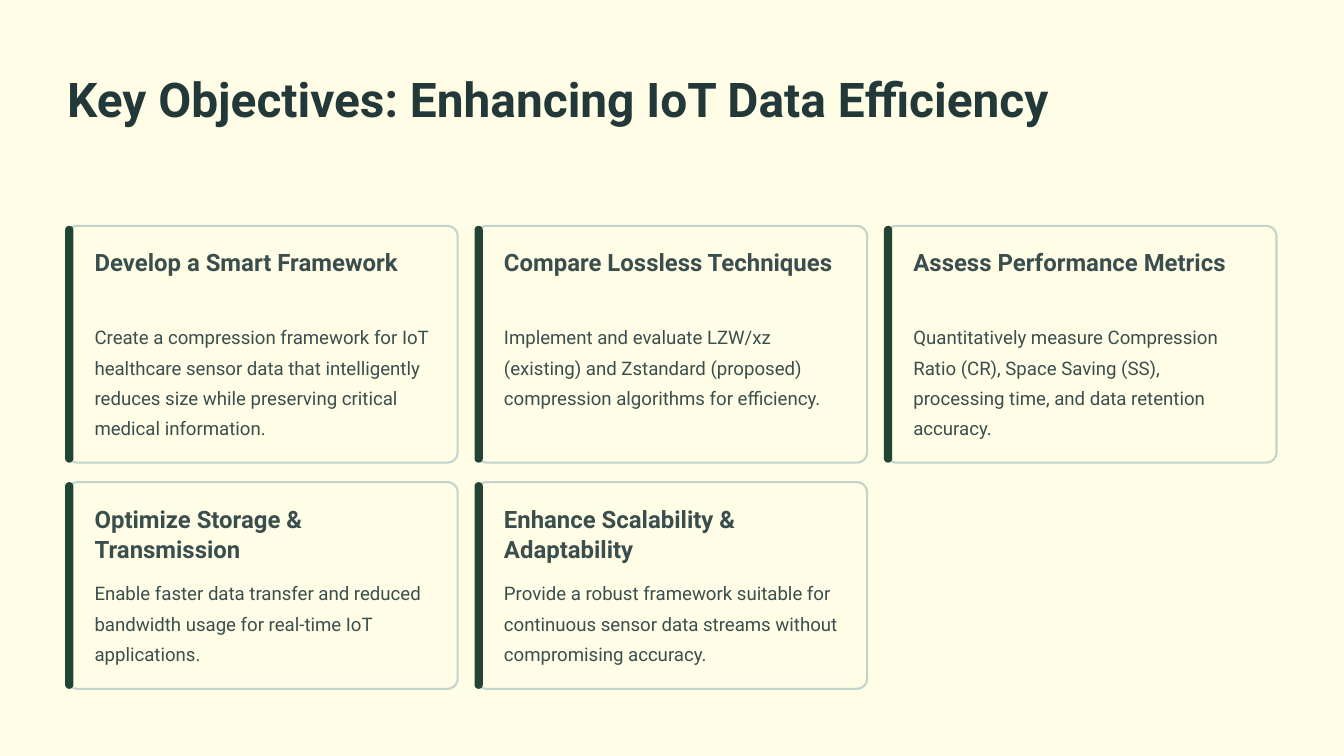
from dataclasses import dataclass

from pptx import Presentation
from pptx.dml.color import RGBColor as Rgb
from pptx.enum.shapes import MSO_SHAPE as Shape
from pptx.enum.text import MSO_ANCHOR as Anchor, MSO_AUTO_SIZE as Fit, PP_ALIGN as Align
from pptx.util import Cm, Pt


@dataclass(frozen=True)
class Theme:
    font: str = "Roboto"
    paper: str = "FFFDE6"
    edge: str = "C3D4CC"
    accent: str = "224435"
    title: str = "233939"
    ink: str = "3B4E4E"
    # Type size and line pitch, in points
    big: tuple = (41, 51)
    head: tuple = (20.5, 25.5)
    body: tuple = (16, 26)


class Deck:
    def __init__(self, theme):
        self.theme = theme
        self.prs = Presentation()
        self.prs.slide_width, self.prs.slide_height = Cm(40.64), Cm(22.86)
        self.slide = self.prs.slides.add_slide(self.prs.slide_layouts[5])
        back = self.slide.background.fill
        back.solid()
        back.fore_color.rgb = Rgb.from_string(theme.paper)

    def label(self, shape, text, size, color, bold=False):
        frame = shape.text_frame
        frame.word_wrap = True
        frame.auto_size = Fit.NONE
        frame.vertical_anchor = Anchor.TOP
        frame.margin_left = frame.margin_right = 0
        frame.margin_top = frame.margin_bottom = 0
        para = frame.paragraphs[0]
        para.alignment = Align.LEFT
        para.space_before = Pt(0)
        para.line_spacing = Pt(size[1])
        run = para.add_run()
        run.text = text
        font = run.font
        font.name, font.size, font.bold = self.theme.font, Pt(size[0]), bold
        font.color.rgb = Rgb.from_string(color)

    def title(self, text, x, y, w, h):
        shape = self.slide.shapes.title
        shape.left, shape.top, shape.width, shape.height = map(Cm, (x, y, w, h))
        self.label(shape, text, self.theme.big, self.theme.title, True)

    def text(self, text, x, y, w, h, size, bold=False):
        box = self.slide.shapes.add_textbox(*map(Cm, (x, y, w, h)))
        self.label(box, text, size, self.theme.ink, bold)

    def panel(self, x, y, w, h, bend, fill, edge=None):
        shape = self.slide.shapes.add_shape(Shape.ROUNDED_RECTANGLE, *map(Cm, (x, y, w, h)))
        shape.shadow.inherit = False
        shape.adjustments[0] = bend / min(w, h)
        shape.fill.solid()
        shape.fill.fore_color.rgb = Rgb.from_string(fill)
        if edge:
            shape.line.color.rgb = Rgb.from_string(edge)
            shape.line.width = Pt(1.8)
        else:
            shape.line.fill.background()

    def card(self, x, y, w, h, head, body):
        look = self.theme
        self.panel(x, y, w, h, 0.31, look.paper, look.edge)
        self.panel(x - 0.06, y, 0.25, h, 0.12, look.accent)
        left, wide = x + 0.83, w - 1.47
        self.text(head, left, y + 0.64, wide, 1.8, look.head, True)
        self.text(body, left, y + 2.79, wide, h - 3.43, look.body)


# Each row: top, height, cards
ROWS = [
    (6.83, 7.16, [
        ("Develop a Smart Framework",
         "Create a compression framework for IoT healthcare sensor data that "
         "intelligently reduces size while preserving critical medical information."),
        ("Compare Lossless Techniques",
         "Implement and evaluate LZW/xz (existing) and Zstandard (proposed) "
         "compression algorithms for efficiency."),
        ("Assess Performance Metrics",
         "Quantitatively measure Compression Ratio (CR), Space Saving (SS), "
         "processing time, and data retention accuracy."),
    ]),
    (14.58, 6.25, [
        ("Optimize Storage & Transmission",
         "Enable faster data transfer and reduced bandwidth usage for real-time "
         "IoT applications."),
        ("Enhance Scalability & Adaptability",
         "Provide a robust framework suitable for continuous sensor data streams "
         "without compromising accuracy."),
    ]),
]
LEFT, WIDE, STEP = 2.03, 11.81, 12.38


def main():
    deck = Deck(Theme())
    # Heading
    deck.title("Key Objectives: Enhancing IoT Data Efficiency", LEFT, 2.03, 36.58, 3.63)
    # Card grid
    for top, high, cards in ROWS:
        for col, (head, body) in enumerate(cards):
            deck.card(LEFT + col * STEP, top, WIDE, high, head, body)
    deck.prs.save("out.pptx")


if __name__ == "__main__":
    main()
